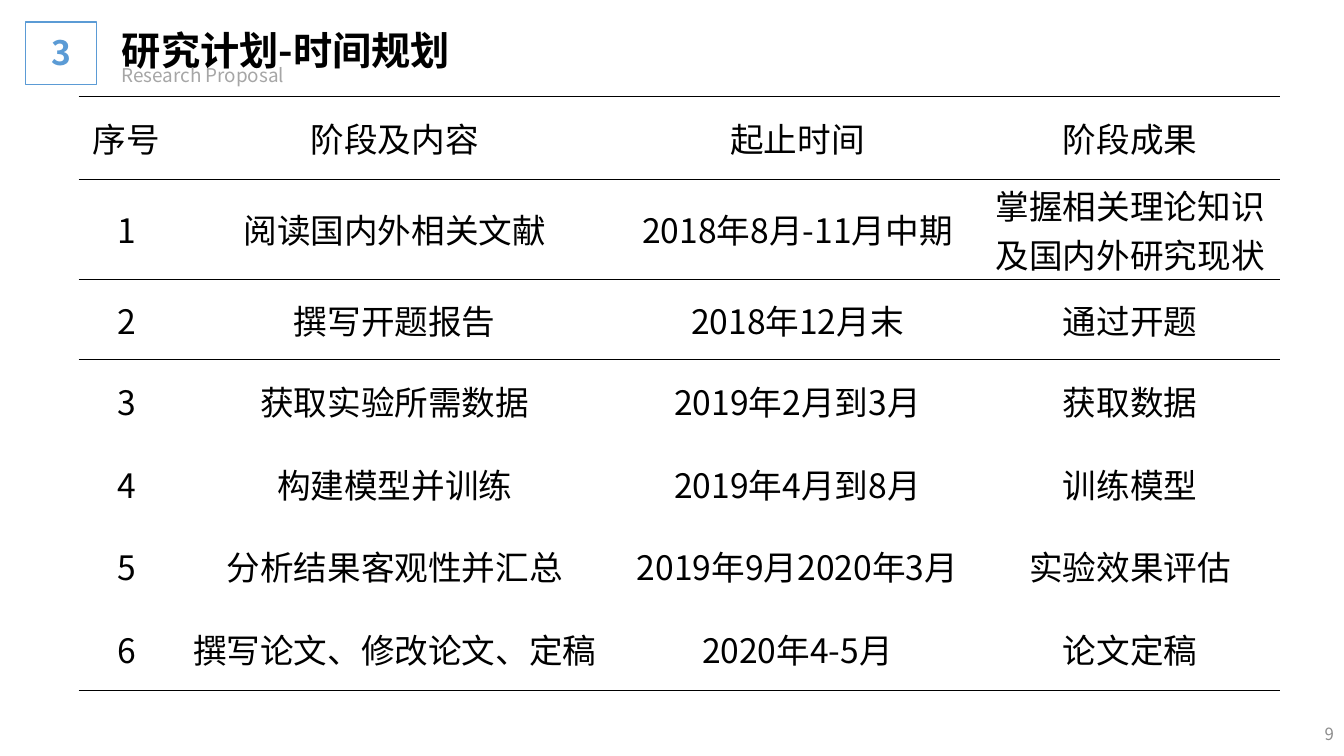
from dataclasses import dataclass

from lxml import etree
from pptx import Presentation
from pptx.dml.color import RGBColor
from pptx.enum.shapes import MSO_SHAPE
from pptx.enum.text import MSO_ANCHOR, PP_ALIGN
from pptx.oxml.ns import qn
from pptx.util import Inches, Pt

RECT = MSO_SHAPE.RECTANGLE
LEFT, CENTER, RIGHT = PP_ALIGN.LEFT, PP_ALIGN.CENTER, PP_ALIGN.RIGHT
TOP, MIDDLE = MSO_ANCHOR.TOP, MSO_ANCHOR.MIDDLE
FONT = "Noto Sans CJK SC"
BLACK, BLUE, GRAY, PALE = "000000", "5B9BD5", "8C8C8C", "A6A6A6"
PLAIN = "{2D5ABB26-0587-4C30-8999-92F81FD0307C}"

COLS = (0.95, 4.37, 3.62, 2.98)
ROWS = (0.82, 0.99, 0.8, 0.82, 0.82, 0.82, 0.82)
RULES = (0, 1, 2, len(ROWS))
HEAD = ("序号", "阶段及内容", "起止时间", "阶段成果")


@dataclass
class Stage:
    task: str
    time: str
    goal: str


@dataclass
class Label:
    text: str
    box: tuple
    size: float
    color: str
    bold: bool = False
    align: PP_ALIGN = LEFT
    anchor: MSO_ANCHOR = TOP


STAGES = (
    Stage("阅读国内外相关文献", "2018年8月-11月中期", "掌握相关理论知识及国内外研究现状"),
    Stage("撰写开题报告", "2018年12月末", "通过开题"),
    Stage("获取实验所需数据", "2019年2月到3月", "获取数据"),
    Stage("构建模型并训练", "2019年4月到8月", "训练模型"),
    Stage("分析结果客观性并汇总", "2019年9月2020年3月", "实验效果评估"),
    Stage("撰写论文、修改论文、定稿", "2020年4-5月", "论文定稿"),
)

TITLE = Label("研究计划-时间规划", (1.11, 0.21, 3.92, 0.57), 28, BLACK, bold=True)
LABELS = (
    Label("9", (10.33, 7.08, 3, 0.4), 12, GRAY, align=RIGHT, anchor=MIDDLE),
    Label("Research Proposal", (1.11, 0.58, 2.06, 0.33), 13.5, PALE),
    Label("3", (0.25, 0.27, 0.71, 0.5), 24, BLUE, bold=True, align=CENTER),
)


def rgb(code: str) -> RGBColor:
    return RGBColor.from_string(code)


def write(frame, text: str, *, size: float, color: str = BLACK,
          bold: bool = False, align: PP_ALIGN = LEFT) -> None:
    frame.word_wrap = True
    para = frame.paragraphs[0]
    para.alignment = align
    run = para.add_run()
    run.text = text
    font = run.font
    font.size, font.bold, font.name = Pt(size), bold, FONT
    font.color.rgb = rgb(color)
    etree.SubElement(run._r.get_or_add_rPr(), qn("a:ea"), typeface=FONT)


def put(shape, label: Label) -> None:
    shape.left, shape.top, shape.width, shape.height = map(Inches, label.box)
    shape.text_frame.vertical_anchor = label.anchor
    write(shape.text_frame, label.text, size=label.size, color=label.color,
          bold=label.bold, align=label.align)


def rule(cell, side: str) -> None:
    line = etree.SubElement(cell._tc.get_or_add_tcPr(), qn(f"a:{side}"), w=str(Pt(1)))
    fill = etree.SubElement(line, qn("a:solidFill"))
    etree.SubElement(fill, qn("a:srgbClr"), val=BLACK)


def fill_cell(cell, text: str, row: int) -> None:
    cell.margin_left = cell.margin_right = Inches(0.07)
    cell.margin_top = cell.margin_bottom = 0
    cell.vertical_anchor = MIDDLE
    write(cell.text_frame, text, size=24, align=CENTER)
    if row in RULES:
        rule(cell, "lnT")
    if row + 1 in RULES:
        rule(cell, "lnB")
    cell.fill.background()


def draw_plan(slide) -> None:
    frame = slide.shapes.add_table(
        len(ROWS), len(COLS), Inches(0.78), Inches(0.96),
        Inches(sum(COLS)), Inches(sum(ROWS)))
    table = frame.table
    table.first_row = table.horz_banding = False
    table._tbl.tblPr.find(qn("a:tableStyleId")).text = PLAIN
    for col, width in zip(table.columns, COLS):
        col.width = Inches(width)
    for row, height in zip(table.rows, ROWS):
        row.height = Inches(height)
    body = [(str(num), s.task, s.time, s.goal) for num, s in enumerate(STAGES, 1)]
    for row, texts in enumerate([HEAD, *body]):
        for col, text in enumerate(texts):
            fill_cell(table.cell(row, col), text, row)


def draw_badge(slide) -> None:
    badge = slide.shapes.add_shape(RECT, *map(Inches, (0.25, 0.22, 0.71, 0.62)))
    badge.shadow.inherit = False
    badge.fill.background()
    badge.line.color.rgb = rgb(BLUE)
    badge.line.width = Pt(1)


def main() -> None:
    deck = Presentation()
    deck.slide_width, deck.slide_height = Inches(13.33), Inches(7.5)
    slide = deck.slides.add_slide(deck.slide_layouts[5])
    put(slide.shapes.title, TITLE)
    for label in LABELS:
        put(slide.shapes.add_textbox(*map(Inches, label.box)), label)
    draw_badge(slide)
    draw_plan(slide)
    deck.save("out.pptx")


if __name__ == "__main__":
    main()
